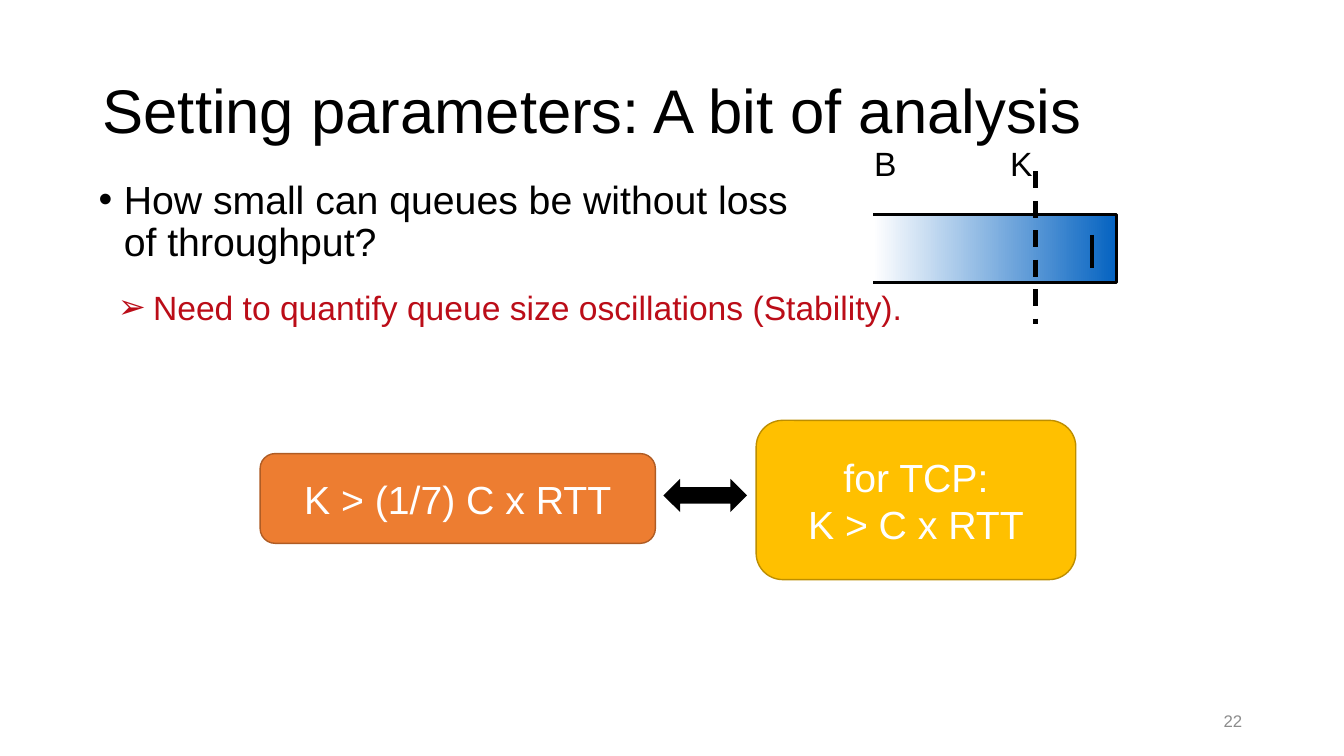
from lxml import etree
from pptx import Presentation
from pptx.dml.color import RGBColor
from pptx.enum.dml import MSO_LINE
from pptx.enum.shapes import MSO_CONNECTOR, MSO_SHAPE
from pptx.enum.text import MSO_ANCHOR, PP_ALIGN
from pptx.oxml.ns import qn
from pptx.util import Inches, Pt

BLACK = RGBColor(0x00, 0x00, 0x00)
WHITE = RGBColor(0xFF, 0xFF, 0xFF)
GRAY = RGBColor(0x8C, 0x8C, 0x8C)
RED = RGBColor(0xBB, 0x0D, 0x18)
BLUE = RGBColor(0x05, 0x63, 0xC1)
ORANGE = RGBColor(0xED, 0x7D, 0x31)
DARK_ORANGE = RGBColor(0xAF, 0x5C, 0x24)
GOLD = RGBColor(0xFF, 0xC0, 0x00)
DARK_GOLD = RGBColor(0xBD, 0x8E, 0x00)

TOP, MIDDLE = MSO_ANCHOR.TOP, MSO_ANCHOR.MIDDLE
LEFT, CENTER, RIGHT = PP_ALIGN.LEFT, PP_ALIGN.CENTER, PP_ALIGN.RIGHT
ROUNDED = MSO_SHAPE.ROUNDED_RECTANGLE
DOUBLE_ARROW = MSO_SHAPE.LEFT_RIGHT_ARROW
STRAIGHT = MSO_CONNECTOR.STRAIGHT
DASH = MSO_LINE.DASH


class SlidePainter:
    font_name = "Arial"

    def __init__(self, page):
        self.page = page

    def set_text(self, shape, lines, size, color, align=LEFT, anchor=TOP,
                 spacing=1.0, bullet=None, hanging=0):
        frame = shape.text_frame
        frame.word_wrap = True
        frame.vertical_anchor = anchor
        frame.text = "\n".join(lines)
        for para in frame.paragraphs:
            if bullet:
                self.add_bullet(para, bullet, hanging)
            para.alignment = align
            para.line_spacing = spacing
            para.font.name = self.font_name
            para.font.size = Pt(size)
            para.font.color.rgb = color

    def add_bullet(self, para, bullet, hanging):
        properties = para._p.get_or_add_pPr()
        properties.set("marL", str(Inches(hanging)))
        properties.set("indent", str(-Inches(hanging)))
        etree.SubElement(properties, qn("a:buFont"), typeface=self.font_name)
        etree.SubElement(properties, qn("a:buChar"), char=bullet)

    def text(self, place, content, size, color, **style):
        box = self.page.shapes.add_textbox(*map(Inches, place))
        self.set_text(box, [content], size, color, **style)

    def shape(self, kind, place, fill, outline=None, lines=()):
        shape = self.page.shapes.add_shape(kind, *map(Inches, place))
        shape.shadow.inherit = False
        shape.fill.solid()
        shape.fill.fore_color.rgb = fill
        if outline is None:
            shape.line.fill.background()
        else:
            shape.line.color.rgb = outline
            shape.line.width = Pt(1)
        if lines:
            self.set_text(shape, lines, 28, WHITE, align=CENTER, anchor=MIDDLE)

    def queue(self, left, top, right, bottom):
        corners = [(Inches(x), Inches(y)) for x, y in
                   ((left, top), (right, top), (right, bottom), (left, bottom))]
        builder = self.page.shapes.build_freeform(*corners[0], scale=1.0)
        builder.add_line_segments(corners[1:], close=False)
        queue = builder.convert_to_shape()
        queue.shadow.inherit = False
        queue.fill.gradient()
        queue.fill.gradient_angle = 0
        for stop, color, position in zip(queue.fill.gradient_stops, (WHITE, BLUE), (0, 1)):
            stop.color.rgb = color
            stop.position = position
        queue.line.color.rgb = BLACK
        queue.line.width = Pt(2.25)

    def vertical_line(self, x, top, bottom, width, dash=None):
        line = self.page.shapes.add_connector(
            STRAIGHT, Inches(x), Inches(top), Inches(x), Inches(bottom))
        line.line.color.rgb = BLACK
        line.line.width = Pt(width)
        if dash:
            line.line.dash_style = dash
        etree.SubElement(line._element.spPr, qn("a:effectLst"))


def main():
    deck = Presentation()
    deck.slide_width = Inches(13.33)
    deck.slide_height = Inches(7.5)
    painter = SlidePainter(deck.slides.add_slide(deck.slide_layouts[6]))

    painter.text((9.42, 6.95, 3, 0.4), "22", 12, GRAY, align=RIGHT, anchor=MIDDLE)
    painter.shape(ROUNDED, (2.58, 4.5, 3.92, 0.89), ORANGE, DARK_ORANGE,
                  ["K > (1/7) C x RTT"])
    painter.shape(ROUNDED, (7.5, 4.17, 3.17, 1.58), GOLD, DARK_GOLD,
                  ["for TCP:", "K > C x RTT"])
    painter.shape(DOUBLE_ARROW, (6.58, 4.75, 0.83, 0.33), BLACK)
    painter.text((0.92, 0.4, 11.5, 1.45), "Setting parameters: A bit of analysis",
                 44, BLACK, anchor=MIDDLE, spacing=0.9)

    for label, left in (("B", 8.57), ("K", 9.92)):
        painter.text((left, 1.37, 0.45, 0.5), label, 24, BLACK)
    painter.queue(8.66, 2.13, 11.07, 2.8)
    painter.vertical_line(10.83, 2.33, 2.66, 2.25)
    painter.vertical_line(10.27, 1.7, 3.21, 3, DASH)

    painter.text((0.88, 1.74, 7.32, 1.83),
                 "How small can queues be without loss of throughput?",
                 28, BLACK, spacing=0.9, bullet="•", hanging=0.25)
    painter.text((1.07, 2.8, 8.43, 0.5),
                 "Need to quantify queue size oscillations (Stability).",
                 24, RED, bullet="➢", hanging=0.35)

    deck.save("out.pptx")


if __name__ == "__main__":
    main()
